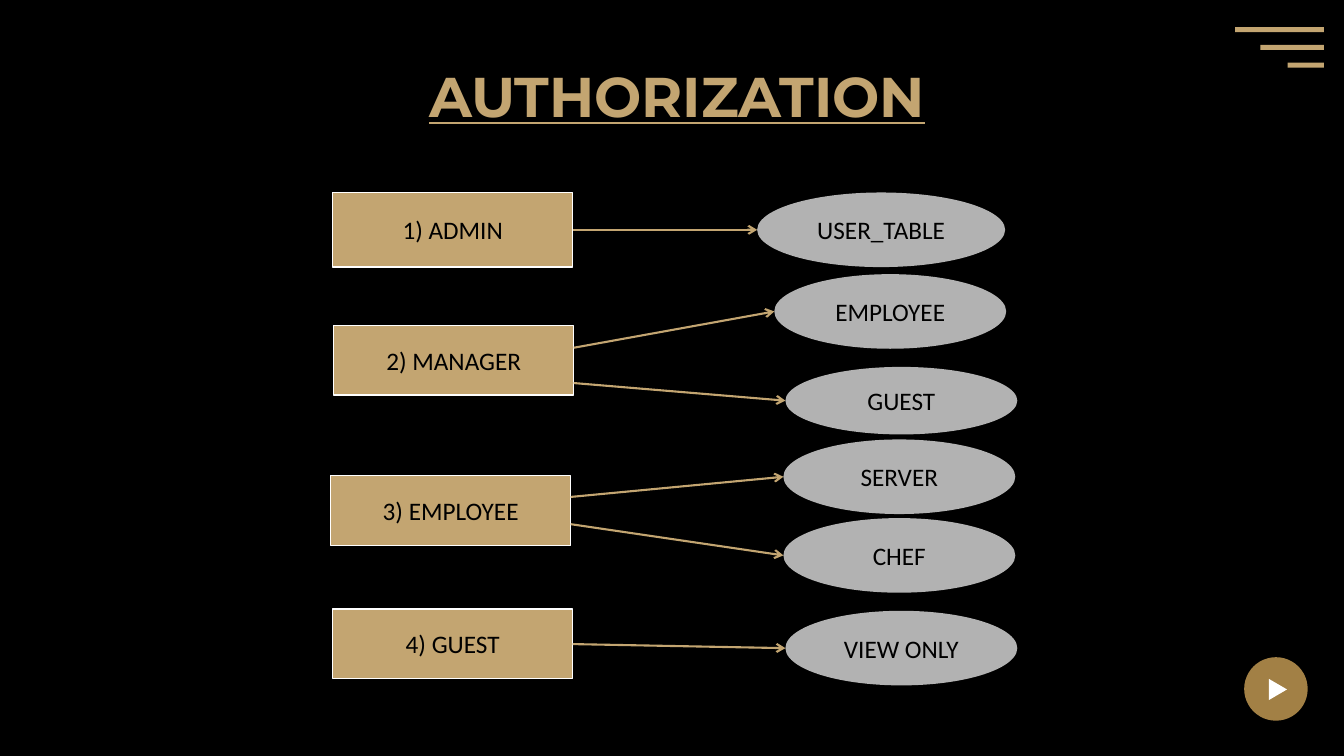
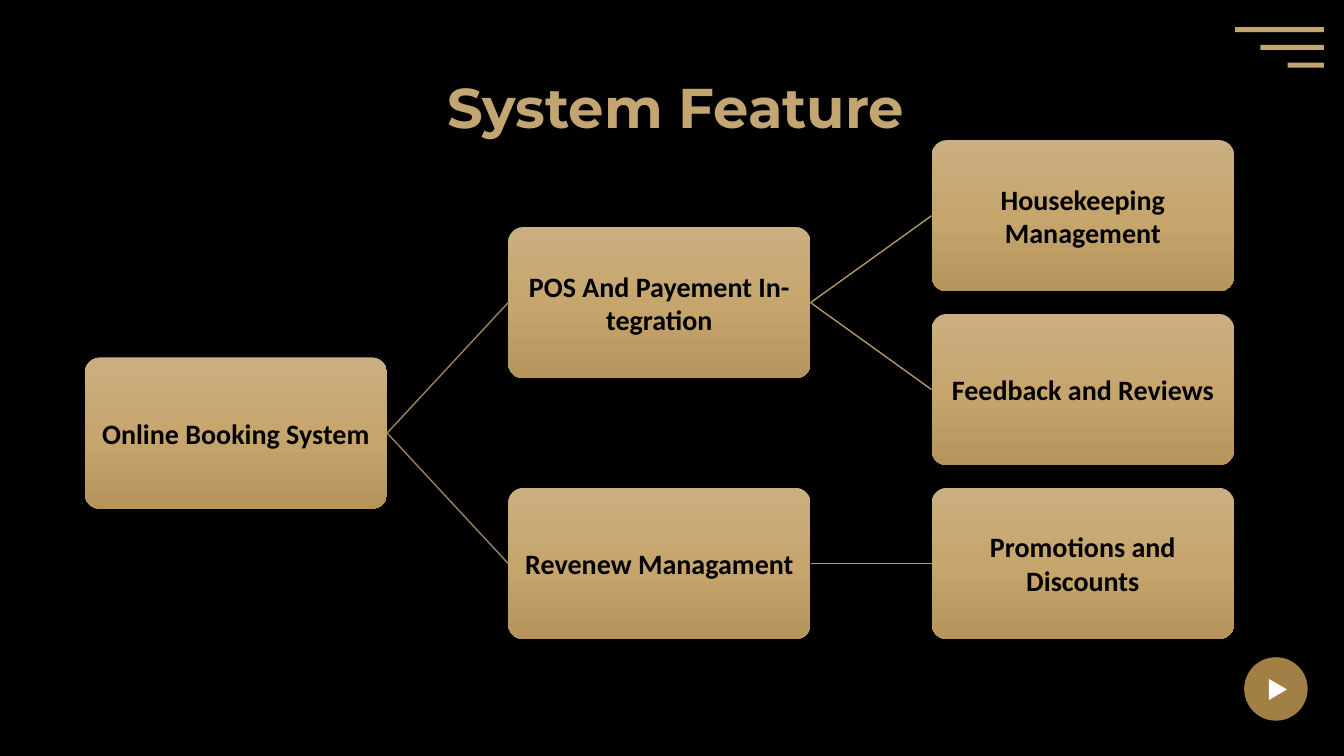
import lxml.etree
import pptx
import pptx.dml.color
import pptx.enum.shapes
import pptx.enum.text
import pptx.oxml.ns
import pptx.util

Inches = pptx.util.Inches
SHAPE = pptx.enum.shapes.MSO_SHAPE
qn = pptx.oxml.ns.qn

COLORS = {
    "background": "000000",
    "gold": "C3A571",
    "button": "A28045",
    "white": "FFFFFF",
    "grey": "B2B2B2",
    "text": "000000",
    "first_branch": "9C845A",
    "second_branch": "B19667",
}
CARD_GRADIENT = [(0, "CAAF82"), (50, "C7A66D"), (100, "B6955C")]
TITLE_FONT, BODY_FONT = "Montserrat", "Calibri"

# label, left, top, height, grants: (label, left, top, width, height, arrow start)
# Places are relative to the diagram's corner.
ROLES = [
    ("1) ADMIN", 0, 0, 0.74, [("USER_TABLE", 4.21, 0, 2.46, 0.74, 0.37)]),
    ("2) MANAGER", 0.01, 1.32, 0.69, [
        ("EMPLOYEE", 4.38, 0.81, 2.3, 0.74, 1.54),
        ("GUEST", 4.49, 1.73, 2.3, 0.67, 1.89)]),
    ("3) EMPLOYEE", -0.02, 2.81, 0.69, [
        ("SERVER", 4.47, 2.45, 2.3, 0.74, 3.02),
        ("CHEF", 4.47, 3.23, 2.3, 0.74, 3.29)]),
    ("4) GUEST", 0, 4.13, 0.69, [("VIEW ONLY", 4.49, 4.15, 2.3, 0.74, 4.48)]),
]
ROLE_WIDTH = 2.38

FEATURES = ("Online Booking System", [
    ("POS And Payement In- tegration", [
        ("Housekeeping Management", []),
        ("Feedback and Reviews", [])]),
    ("Revenew Managament", [("Promotions and Discounts", [])]),
])


def color(name):
    return pptx.dml.color.RGBColor.from_string(COLORS[name])


def add_shape(slide, kind, left, top, width, height, fill, line=None):
    shape = slide.shapes.add_shape(
        kind, Inches(left), Inches(top), Inches(width), Inches(height))
    shape.shadow.inherit = False
    shape.fill.solid()
    shape.fill.fore_color.rgb = color(fill)
    if line:
        shape.line.color.rgb = color(line)
        shape.line.width = pptx.util.Pt(1)
    else:
        shape.line.fill.background()
    return shape


def set_label(shape, text, size, bold=False):
    shape.text_frame.text = text
    shape.text_frame.word_wrap = True
    shape.text_frame.vertical_anchor = pptx.enum.text.MSO_ANCHOR.MIDDLE
    paragraph = shape.text_frame.paragraphs[0]
    paragraph.alignment = pptx.enum.text.PP_ALIGN.CENTER
    format_run(paragraph.runs[0], BODY_FONT, size, "text", bold)


def format_run(run, font, size, color_name, bold):
    run.font.name = font
    run.font.size = pptx.util.Pt(size)
    run.font.color.rgb = color(color_name)
    run.font.bold = bold


def add_line(slide, start, end, color_name, width, arrow=False):
    connector = slide.shapes.add_connector(
        pptx.enum.shapes.MSO_CONNECTOR.STRAIGHT,
        *(Inches(value) for value in (*start, *end)))
    connector.line.color.rgb = color(color_name)
    connector.line.width = pptx.util.Pt(width)
    properties = connector._element.spPr
    if arrow:
        lxml.etree.SubElement(properties.find(qn("a:ln")), qn("a:tailEnd"), type="arrow")
    lxml.etree.SubElement(properties, qn("a:effectLst"))
    return connector


def add_title(slide, text, left, top, width, underline=False):
    title = slide.shapes.add_textbox(
        Inches(left), Inches(top), Inches(width), Inches(0.77))
    title.text_frame.word_wrap = True
    title.text_frame.text = text
    run = title.text_frame.paragraphs[0].runs[0]
    format_run(run, TITLE_FONT, 40, "gold", True)
    run.font.underline = underline


def add_play_button(slide, left, top, size):
    add_shape(slide, SHAPE.OVAL, left, top, size, size, "button")
    triangle = add_shape(slide, SHAPE.ISOSCELES_TRIANGLE,
                         left + 0.23, top + 0.23, 0.21, 0.18, "white")
    triangle.rotation = 90


def add_menu_bars(slide, right, top):
    for index, width in enumerate((0.88, 0.63, 0.36)):
        add_shape(slide, SHAPE.RECTANGLE, right - width, top + index * 0.175,
                  width, 0.05, "gold")


def add_slide(presentation):
    """Add a blank slide with the shared background and corner ornaments."""
    slide = presentation.slides.add_slide(presentation.slide_layouts[6])
    slide.background.fill.solid()
    slide.background.fill.fore_color.rgb = color("background")
    add_play_button(slide, 12.34, 6.52, 0.63)
    add_menu_bars(slide, 13.13, 0.27)
    return slide


def add_role_diagram(slide, left, top):
    """Draw each role with arrows to what it may access."""
    for role, role_left, role_top, role_height, grants in ROLES:
        box = add_shape(slide, SHAPE.RECTANGLE, left + role_left, top + role_top,
                        ROLE_WIDTH, role_height, "gold", "white")
        set_label(box, role, 18)
        for label, grant_left, grant_top, width, height, start in grants:
            oval = add_shape(slide, SHAPE.OVAL, left + grant_left, top + grant_top,
                             width, height, "grey")
            set_label(oval, label, 18)
            add_line(slide, (left + role_left + ROLE_WIDTH, top + start),
                     (left + grant_left, top + grant_top + height / 2),
                     "gold", 1.5, arrow=True)


def add_card(slide, text, left, top, width, height):
    card = add_shape(slide, SHAPE.ROUNDED_RECTANGLE, left, top, width, height, "gold")
    card.adjustments[0] = 0.1
    card.fill.gradient()
    card.fill.gradient_angle = 270
    stops = card._element.spPr.find(qn("a:gradFill")).find(qn("a:gsLst"))
    stops.clear()
    for position, value in CARD_GRADIENT:
        stop = lxml.etree.SubElement(stops, qn("a:gs"), pos=str(position * 1000))
        lxml.etree.SubElement(stop, qn("a:srgbClr"), val=value)
    frame = card.text_frame
    frame.margin_left = frame.margin_right = Inches(0.01)
    frame.margin_top = frame.margin_bottom = Inches(0.01)
    set_label(card, text, 20, bold=True)
    return card


def add_feature_tree(slide, left, top, width, height):
    """Fill the box with three columns of cards, each centred on its children."""
    card_width, card_height = width / 3.8, height / 3.3
    column_step, row_step = card_width * 1.4, card_height * 1.15
    branch_colors = ("first_branch", "second_branch")

    def add_branch(node, depth, first_row):
        """Return the card, its row and the next free row."""
        text, children = node
        next_row = first_row
        child_cards, child_rows = [], []
        for child in children:
            card, row, next_row = add_branch(child, depth + 1, next_row)
            child_cards.append(card)
            child_rows.append(row)
        if children:
            row = (child_rows[0] + child_rows[-1]) / 2
        else:
            row, next_row = first_row, first_row + 1
        parent = add_card(slide, text, left + depth * column_step,
                          top + row * row_step, card_width, card_height)
        for card in child_cards:
            connector = add_line(slide, (0, 0), (1, 1), branch_colors[depth], 1)
            connector.begin_connect(parent, 3)
            connector.end_connect(card, 1)
        return parent, row, next_row

    add_branch(FEATURES, 0, 0)


def build_authorization(presentation):
    slide = add_slide(presentation)
    add_title(slide, "AUTHORIZATION", 4.16, 0.56, 5.61, underline=True)
    add_role_diagram(slide, 3.3, 1.91)


def build_system_feature(presentation):
    slide = add_slide(presentation)
    add_title(slide, "System Feature", 4.34, 0.67, 5.21)
    add_feature_tree(slide, 0.84, 1.39, 11.4, 4.95)


def main():
    presentation = pptx.Presentation()
    presentation.slide_width = Inches(13.33)
    presentation.slide_height = Inches(7.5)
    build_authorization(presentation)
    build_system_feature(presentation)
    presentation.save("out.pptx")


if __name__ == "__main__":
    main()
